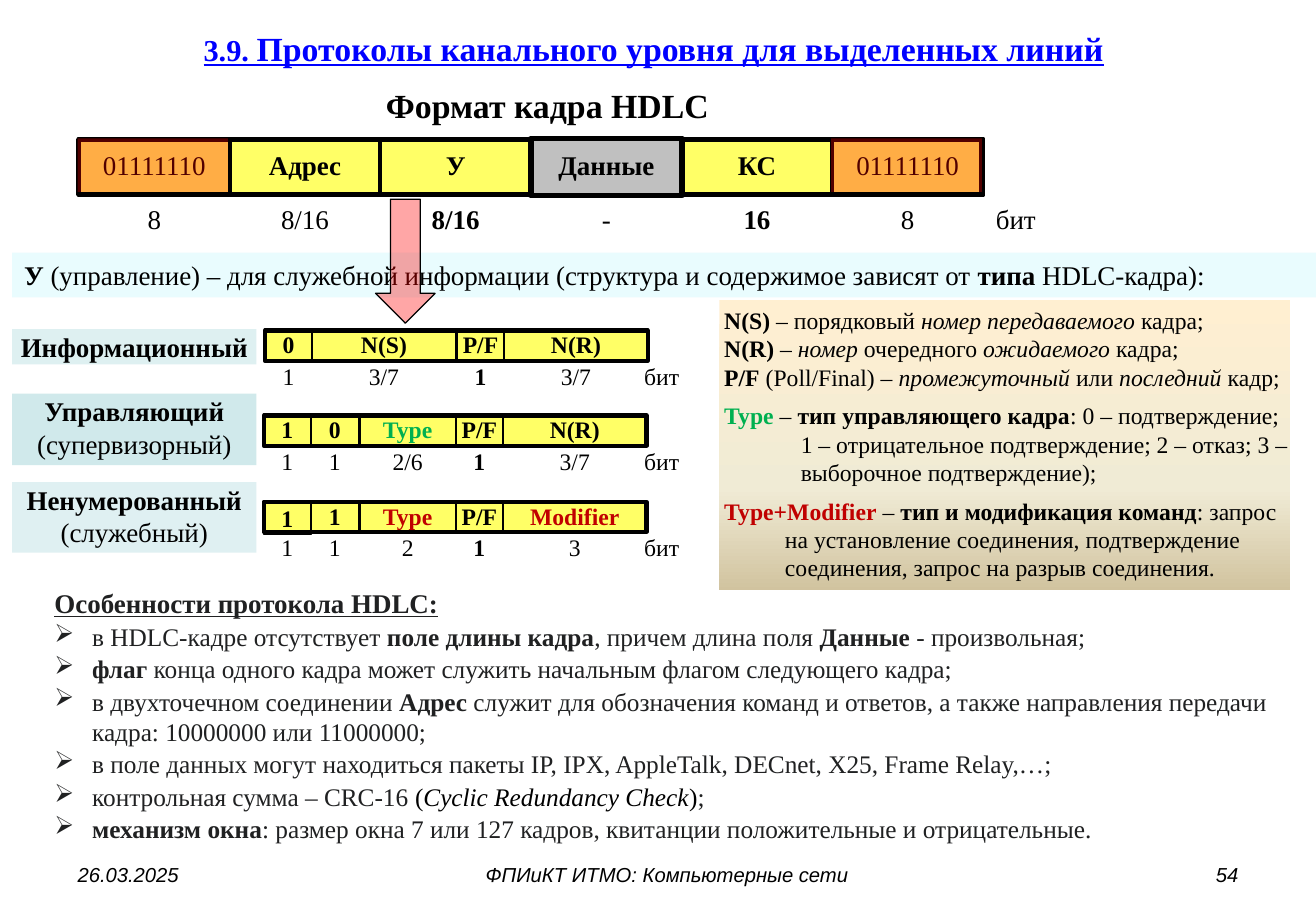
"""Build the slide on the HDLC frame format."""
from copy import deepcopy

from lxml.etree import SubElement
from pptx import Presentation
from pptx.dml.color import RGBColor
from pptx.enum.shapes import MSO_SHAPE as SHAPE
from pptx.enum.text import MSO_ANCHOR as ANCHOR, MSO_AUTO_SIZE as AUTO, PP_ALIGN as ALIGN
from pptx.oxml.ns import qn
from pptx.util import Pt

PX = 9144
SERIF = "Times New Roman"
BLACK, YELLOW, RED, GREEN, INK = "000000", "FFFF66", "C00000", "00B050", "202122"
TIGHT = (2, 1, 2, 1)
LOOSE = (10, 5, 10, 5)
B, I = {"bold": True}, {"italic": True}
rgb = RGBColor.from_string


def write(tf, paras, ins=LOOSE, align=ALIGN.LEFT, anchor=ANCHOR.TOP, **base):
    """Fill a text frame with paragraphs, each a list of (text, format) runs."""
    sides = ("margin_left", "margin_top", "margin_right", "margin_bottom")
    frame = dict(zip(sides, (v * PX for v in ins)))
    frame.update(word_wrap=True, auto_size=AUTO.NONE, vertical_anchor=anchor)
    for name, value in frame.items():
        setattr(tf, name, value)
    for i, runs in enumerate(paras):
        p = tf.paragraphs[0] if i == 0 else tf.add_paragraph()
        p.alignment = align
        for text, extra in runs:
            r = p.add_run()
            r.text = text
            style = {"name": SERIF, "color": BLACK, "bold": False, **base, **extra}
            r.font.color.rgb = rgb(style.pop("color"))
            style["size"] = Pt(style["size"])
            for name, value in style.items():
                setattr(r.font, name, value)


def add_box(at, paras=(), fill=None, alpha=None, line=None, kind=SHAPE.RECTANGLE, **text):
    """Add a shape, or a text box when it has neither fill nor line."""
    place = [v * PX for v in at]
    if fill or line:
        s = shapes.add_shape(kind, *place)
        s.shadow.inherit = False
        if fill:
            s.fill.solid()
            s.fill.fore_color.rgb = rgb(fill)
        else:
            s.fill.background()
        if alpha:
            color = s._element.spPr.find(qn("a:solidFill"))[0]
            SubElement(color, qn("a:alpha"), val=str(alpha * 1000))
        if line:
            s.line.color.rgb = rgb(BLACK)
            s.line.width = Pt(line)
        else:
            s.line.fill.background()
    else:
        s = shapes.add_textbox(*place)
    if paras:
        write(s.text_frame, paras, **text)
    return s


prs = Presentation()
prs.slide_width, prs.slide_height = 1083 * PX, 750 * PX
slide = prs.slides.add_slide(prs.slide_layouts[5])
shapes = slide.shapes

title = shapes.title
title.left, title.top, title.width, title.height = (v * PX for v in (71, 6, 934, 67))
write(title.text_frame,
      [[("3.9. ", {"size": 18}), ("Протоколы канального уровня для выделенных линий", {})]],
      align=ALIGN.CENTER, anchor=ANCHOR.MIDDLE, size=20, color="0000FF", bold=True, underline=True)

add_box((143, 65, 615, 44), [[("Формат кадра HDLC", B)]], align=ALIGN.CENTER, size=20)
add_box((10, 208, 1073, 37),
        [[("У", B), (" (управление) – для служебной информации (структура и содержимое зависят от ", {}),
          ("типа ", B), ("HDLC-кадра):", {})]], fill="CBF8FD", alpha=42, size=16)

frame_types = [
    (271, 29, "BBE0E3", 48, [[("Информационный", B)]]),
    (324, 59, "9ED3D7", 48, [[("Управляющий ", B), ("(супервизорный)", {})]]),
    (397, 58, "9ED3D7", 32, [[("Ненумерованный", B)], [("(служебный)", {})]]),
]
for top, height, fill, alpha, paras in frame_types:
    add_box((10, top, 201, height), paras, fill=fill, alpha=alpha,
            ins=TIGHT, align=ALIGN.CENTER, size=16)

control_fields = [
    (218, 272, [("0", 1, "1", BLACK, 0), ("N(S)", 3, "3/7", BLACK, 0),
                ("P/F", 1, "1", BLACK, 0), ("N(R)", 3, "3/7", BLACK, 0)]),
    (217, 342, [("1", 1, "1", BLACK, 0), ("0", 1, "1", BLACK, 0), ("Type", 2, "2/6", GREEN, 0),
                ("P/F", 1, "1", BLACK, 0), ("N(R)", 3, "3/7", BLACK, 0)]),
    (217, 413, [("1", 1, "1", BLACK, 2), ("1", 1, "1", BLACK, 0), ("Type", 2, "2", RED, 0),
                ("P/F", 1, "1", BLACK, 0), ("Modifier", 3, "3", RED, 0)]),
]
small = dict(ins=TIGHT, align=ALIGN.CENTER, size=14)
for left, top, fields in control_fields:
    add_box((left, top, 315, 25), fill=YELLOW, line=2.5)
    start = 0
    for name, units, bits, color, drop in fields:
        x, width = left + round(start * 315 / 8), round(units * 315 / 8)
        add_box((x, top - 1 + drop, width, 26), [[(name, B)]], line=1, color=color, **small)
        add_box((x, top + 25, width, 26), [[(bits, {"bold": name == "P/F"})]], **small)
        start += units
    add_box((517, top + 25, 55, 26), [[("бит", {})]], **small)

legend = add_box((592, 247, 470, 239), [
    [("N(S) ", B), ("– порядковый ", {}), ("номер передаваемого", I), (" кадра;", {})],
    [("N(R) ", B), ("– ", {}), ("номер", I), (" очередного ", {}), ("ожидаемого", I), (" кадра;", {})],
    [("P/F", B), (" (Poll/Final) – ", {}), ("промежуточный", I), (" или ", {}),
     ("последний", I), (" кадр;", {})],
    [("Type", {**B, "color": GREEN}), (" – ", {}), ("тип управляющего кадра", B),
     (": 0 – подтверждение; 1 – отрицательное подтверждение; 2 – отказ; 3 –выборочное подтверждение);", {})],
    [("Type+Modifier", {**B, "color": RED}), (" – ", {}), ("тип и модификация команд", B),
     (": запрос на установление соединения, подтверждение соединения, запрос на разрыв соединения.", {})],
], fill="FFEFD1", ins=(4, 5, 0, 5), size=14)
legend.fill.gradient()
legend.fill.gradient_angle = 270
stops = legend._element.spPr.find(".//" + qn("a:gsLst"))
stops.append(deepcopy(stops[0]))
for stop, (position, color) in zip(legend.fill.gradient_stops,
                                   [(0, "FFEFD1"), (0.65, "F0EBD5"), (1, "D1C39F")]):
    stop.position = position
    stop.color.rgb = rgb(color)
legend_paras = legend.text_frame.paragraphs
for p in legend_paras[2:4]:
    p.space_after = Pt(6)
for p, indent in zip(legend_paras[3:], (63, 50)):
    pPr = p._p.get_or_add_pPr()
    pPr.set("marL", str(indent * PX))
    pPr.set("indent", str(-indent * PX))

add_box((309, 164, 49, 102), fill="FF0000", alpha=35, line=0.75, kind=SHAPE.DOWN_ARROW)

footers = [
    (54, 253, ALIGN.LEFT, "26.03.2025"),
    (335, 428, ALIGN.CENTER, "ФПИиКТ ИТМО: Компьютерные сети"),
    (776, 253, ALIGN.RIGHT, "54"),
]
for left, width, align, text in footers:
    add_box((left, 705, width, 30), [[(text, I)]], align=align, name="Arial", size=12)

features = add_box((35, 478, 1018, 222), [
    [("Особенности протокола HDLC:", {**B, "size": 16, "underline": True})],
    [("в HDLC-кадре отсутствует ", {}), ("поле длины кадра", B), (", причем длина поля ", {}),
     ("Данные ", B), ("- произвольная;", {})],
    [("флаг", B), (" конца одного кадра может служить начальным флагом следующего кадра;", {})],
    [("в двухточечном соединении ", {}), ("Адрес", B),
     (" служит для обозначения команд и ответов, а также направления передачи кадра: "
      "10000000 или 11000000;", {})],
    [("в поле данных могут находиться пакеты IP, IPX, AppleTalk, DECnet, X25, Frame Relay,…;", {})],
    [("контрольная сумма – CRC-16 ", {}), ("(", {"color": BLACK}),
     ("Cyclic Redundancy Check", {**I, "color": BLACK}), (")", {"color": BLACK}), (";", {})],
    [("механизм окна", B),
     (": размер окна 7 или 127 кадров, квитанции положительные и отрицательные.", {})],
], size=15, color=INK)
for i, p in enumerate(features.text_frame.paragraphs):
    p.space_after = Pt(1.2)
    if i:
        pPr = p._p.get_or_add_pPr()
        pPr.set("marL", str(31 * PX))
        pPr.set("indent", str(-31 * PX))
        SubElement(pPr, qn("a:buChar"), char="➢")

hdlc_fields = [("01111110", "8", False, False), ("Адрес", "8/16", True, False),
               ("У", "8/16", True, True), ("Данные", "-", True, False),
               ("КС", "16", True, True), ("01111110", "8", False, False)]
large = dict(align=ALIGN.CENTER, size=16)
add_box((65, 115, 743, 45), fill=YELLOW, line=3)
for i, (name, bits, bold_name, bold_bits) in enumerate(hdlc_fields):
    x = 65 + 124 * i
    is_data = name == "Данные"
    add_box((x, 114, 124, 47), [[(name, {"bold": bold_name})]], fill="C0C0C0" if is_data else None,
            line=3.5 if is_data else 2.25, ins=(2, 8, 2, 1), **large)
    add_box((x, 166, 124, 42), [[(bits, {"bold": bold_bits})]], ins=TIGHT, **large)
    if name == "01111110":
        add_box((x - 1, 114, 124, 44), fill="FF0000", alpha=32)
add_box((803, 166, 66, 42), [[("бит", {})]], ins=TIGHT, **large)

prs.save("out.pptx")
